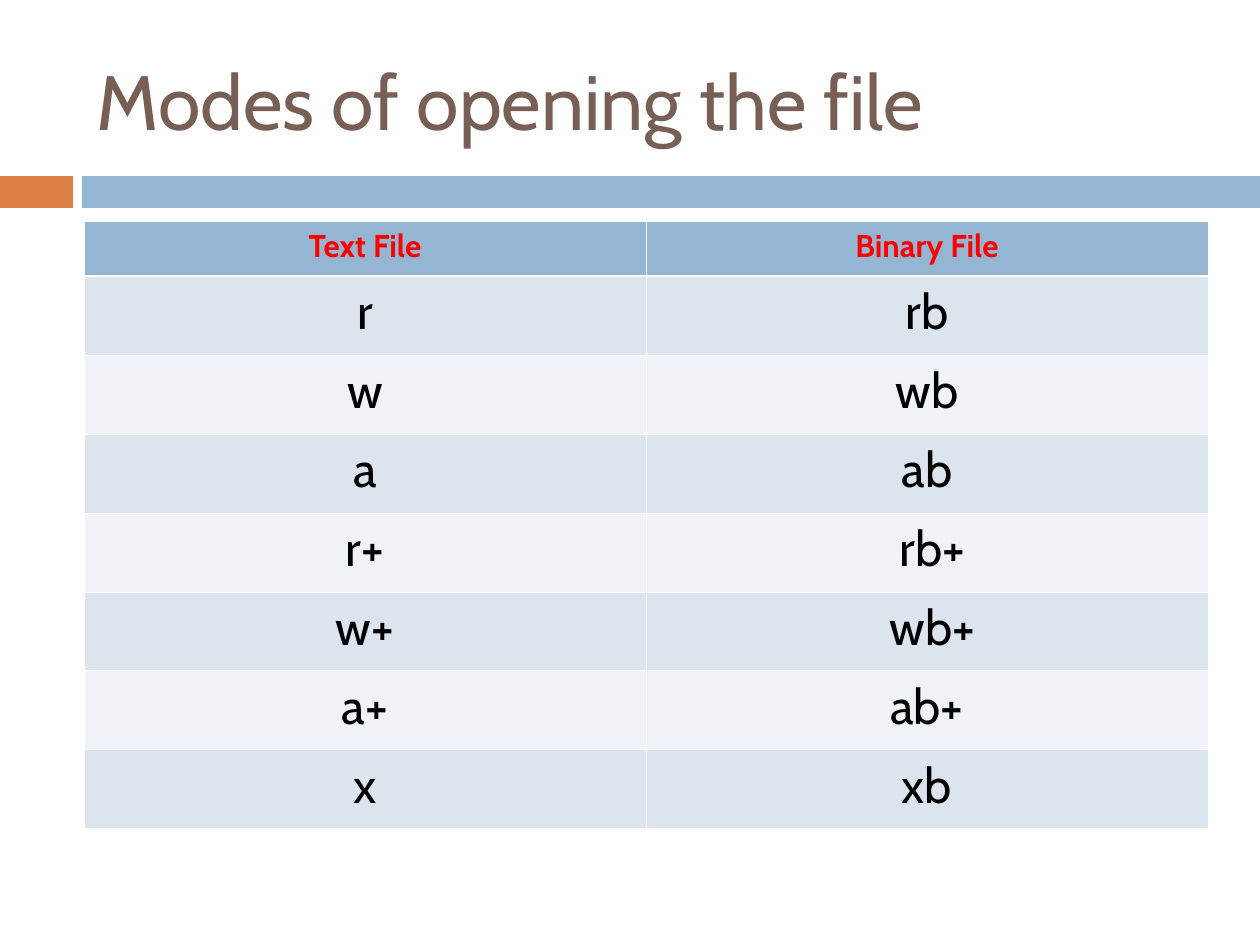
"""Build a slide with a table of the modes for opening text and binary files."""
import pptx
import pptx.util
import pptx.dml.color
import pptx.enum.shapes
import pptx.enum.text
import pptx.oxml
import pptx.oxml.ns

RGB = pptx.dml.color.RGBColor
ORANGE = RGB(0xDD, 0x80, 0x47)
BLUE = RGB(0x94, 0xB6, 0xD2)
BROWN = RGB(0x77, 0x5F, 0x55)
RED = RGB(0xFF, 0x00, 0x00)
BLACK = RGB(0x00, 0x00, 0x00)
WHITE = RGB(0xFF, 0xFF, 0xFF)
DARK = RGB(0xDC, 0xE5, 0xEE)
LIGHT = RGB(0xEF, 0xF3, 0xF7)
FONT = "Cabin"
SCALE = 914400 / 126


def px(*nums):
    return [pptx.util.Emu(round(num * SCALE)) for num in nums]


def edge(cell, side, width):
    line = pptx.oxml.parse_xml(
        f'<a:{side} {pptx.oxml.ns.nsdecls("a")} w="{pptx.util.Pt(width)}">'
        f'<a:solidFill><a:srgbClr val="{WHITE}"/></a:solidFill></a:{side}>')
    cell._tc.get_or_add_tcPr().append(line)


deck = pptx.Presentation()
deck.slide_width, deck.slide_height = px(1260, 945)
slide = deck.slides.add_slide(deck.slide_layouts[5])

for left, width, color in [(0, 73, ORANGE), (82, 1178, BLUE)]:
    bar = slide.shapes.add_shape(
        pptx.enum.shapes.MSO_SHAPE.RECTANGLE, *px(left, 176, width, 32))
    bar.shadow.inherit = False
    bar.fill.solid()
    bar.fill.fore_color.rgb = color
    bar.line.fill.background()

title = slide.shapes.title
title.left, title.top, title.width, title.height = px(84, 32, 1124, 136)
frame = title.text_frame
frame.text = "Modes of opening the file"
frame.vertical_anchor = pptx.enum.text.MSO_ANCHOR.MIDDLE
frame.paragraphs[0].alignment = pptx.enum.text.PP_ALIGN.LEFT
font = frame.paragraphs[0].runs[0].font
font.name, font.size = FONT, pptx.util.Pt(44)
font.color.rgb = BROWN

modes = [
    ("Text File", "Binary File"),
    ("r", "rb"),
    ("w", "wb"),
    ("a", "ab"),
    ("r+", " rb+"),
    ("w+", " wb+"),
    ("a+", "ab+"),
    ("x", "xb"),
]
table = slide.shapes.add_table(len(modes), 2, *px(84, 221, 1124, 608)).table
for col in table.columns:
    col.width = px(562)[0]

for i, row in enumerate(modes):
    head = i == 0
    table.rows[i].height = px(55 if head else 79)[0]
    for j, text in enumerate(row):
        cell = table.cell(i, j)
        edge(cell, "lnL", 0.45)
        edge(cell, "lnR", 0.45)
        edge(cell, "lnT", 1.47 if i == 1 else 0.45)
        edge(cell, "lnB", 1.47 if head else 0.45)
        cell.fill.solid()
        cell.fill.fore_color.rgb = BLUE if head else DARK if i % 2 else LIGHT
        cell.text_frame.text = text
        para = cell.text_frame.paragraphs[0]
        para.alignment = pptx.enum.text.PP_ALIGN.CENTER
        font = para.runs[0].font
        font.name, font.bold = FONT, head
        font.size = pptx.util.Pt(18 if head else 28)
        font.color.rgb = RED if head else BLACK

deck.save("out.pptx")
